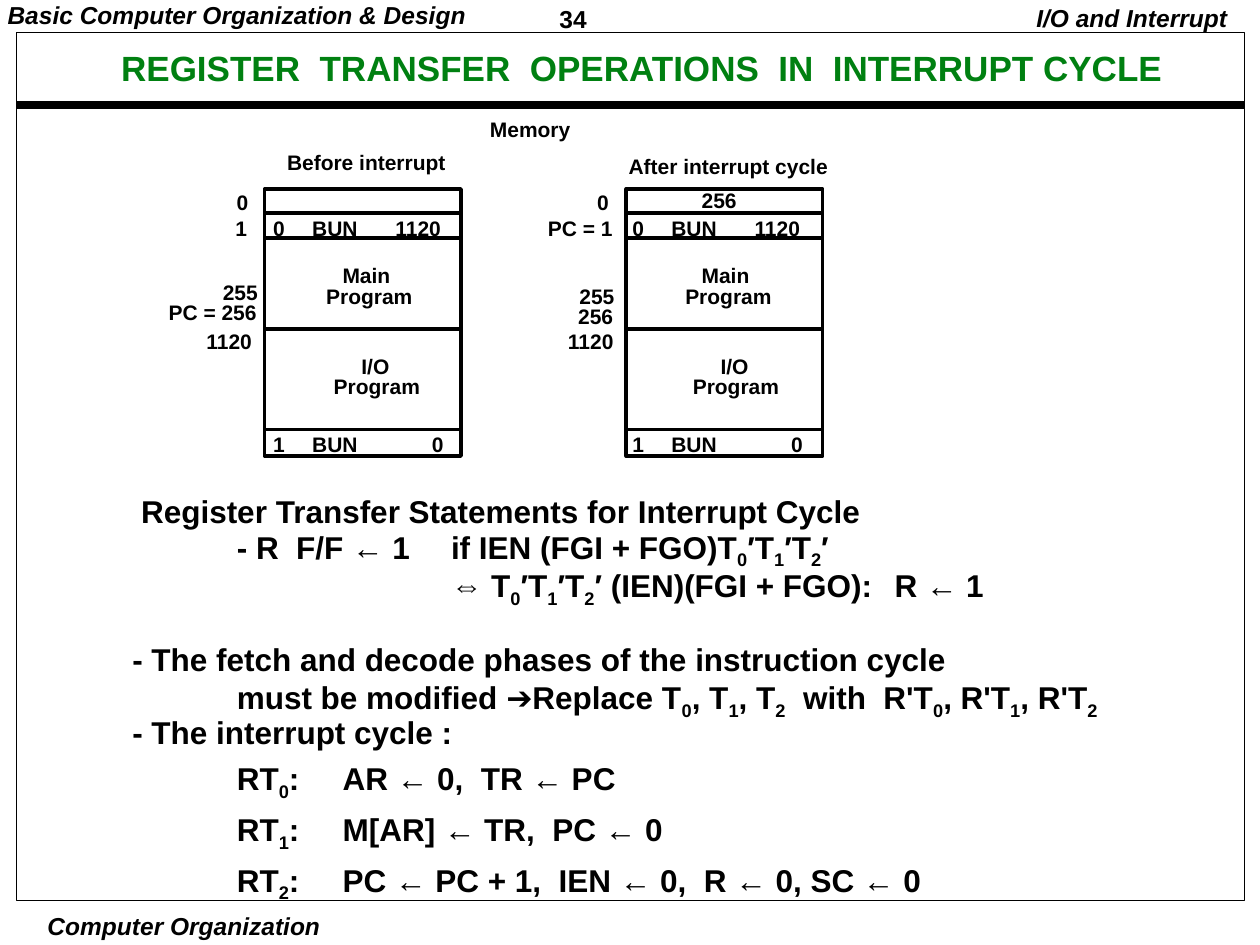
from dataclasses import dataclass

import pptx
import pptx.dml.color
import pptx.enum.shapes
import pptx.enum.text
import pptx.oxml
import pptx.oxml.ns
import pptx.util
from pptx.util import Inches

FONT = "Arial"
BLACK = "000000"
GREEN = "008011"
LEFT = pptx.enum.text.PP_ALIGN.LEFT
CENTER = pptx.enum.text.PP_ALIGN.CENTER
RIGHT = pptx.enum.text.PP_ALIGN.RIGHT

MAP_WIDTH = 1.56
MAP_TOP = 1.5
MAP_HEIGHT = 2.12
ROW_LINES = (1.69, 1.89, 2.61, 3.41)
LABEL_HEIGHT = 0.28
LABEL_SLACK = 0.1  # spare width that keeps every label on one line


@dataclass
class Label:
    text: str
    left: float
    top: float
    width: float


@dataclass
class MemoryMap:
    left: float
    content_left: float
    labels: list[Label]


@dataclass
class Statement:
    text: str
    line_spacing: float = 1.0
    space_before: float = 0
    indent: float = 0


# Lefts are measured from the content edge of each memory map.
CELLS = [
    Label("0", -0.03, 1.68, 0.29),
    Label("BUN", 0.28, 1.68, 0.56),
    Label("1120", 0.94, 1.68, 0.57),
    Label("Main", 0.52, 2.06, 0.58),
    Label("Program", 0.39, 2.22, 0.88),
    Label("I/O", 0.67, 2.78, 0.42),
    Label("Program", 0.45, 2.94, 0.88),
    Label("1", -0.03, 3.4, 0.29),
    Label("BUN", 0.28, 3.4, 0.56),
    Label("0", 1.23, 3.4, 0.29),
]

MEMORY_MAPS = [
    MemoryMap(2.1, 2.1, [
        Label("Before interrupt", 2.18, 1.16, 1.46),
        Label("0", 1.78, 1.48, 0.29),
        Label("1", 1.77, 1.68, 0.29),
        Label("255", 1.67, 2.19, 0.48),
        Label("PC = 256", 1.24, 2.35, 0.9),
        Label("1120", 1.54, 2.58, 0.57),
    ]),
    MemoryMap(4.97, 4.95, [
        Label("After interrupt cycle", 4.89, 1.19, 1.79),
        Label("256", 5.47, 1.46, 0.48),
        Label("0", 4.64, 1.48, 0.29),
        Label("PC = 1", 4.25, 1.68, 0.71),
        Label("255", 4.5, 2.22, 0.48),
        Label("256", 4.49, 2.38, 0.48),
        Label("1120", 4.41, 2.58, 0.57),
    ]),
]

STATEMENT_TABS = (0.83, 1.67, 2.53, 6.05)
# An underscore lowers the character after it to a subscript.
STATEMENTS = [
    Statement("Register Transfer Statements for Interrupt Cycle", 0.85, indent=0.07),
    Statement("\t- R  F/F ← 1\tif IEN (FGI + FGO)T_0′T_1′T_2′", 0.85),
    Statement("\t\t\t⇔ T_0′T_1′T_2′ (IEN)(FGI + FGO):\tR ← 1", 0.96),
    Statement("- The fetch and decode phases of the instruction cycle", 0.9, space_before=21),
    Statement("\tmust be modified ➔Replace T_0, T_1, T_2  with  R'T_0, R'T_1, R'T_2", 0.9),
    Statement("- The interrupt cycle :", 0.9),
    Statement("\tRT_0:\tAR ← 0,  TR ← PC", space_before=4.5),
    Statement("\tRT_1:\tM[AR] ← TR,  PC ← 0", space_before=4.5),
    Statement("\tRT_2:\tPC ← PC + 1,  IEN ← 0,  R ← 0, SC ← 0", space_before=4.5),
]


def color(value: str) -> pptx.dml.color.RGBColor:
    return pptx.dml.color.RGBColor.from_string(value)


def add_run(paragraph, text: str, size: float, fill: str, italic: bool, subscript: bool = False) -> None:
    if not text:
        return
    run = paragraph.add_run()
    run.text = text
    font = run.font
    font.name, font.size = FONT, pptx.util.Pt(size)
    font.bold, font.italic = True, italic
    font.color.rgb = color(fill)
    if subscript:
        run._r.get_or_add_rPr().set("baseline", "-25000")


def write(paragraph, text: str, *, size: float = 12, fill: str = BLACK, italic: bool = False,
          align=LEFT, line_spacing: float = 0.9, space_before: float = 0,
          indent: float = 0, tabs: tuple = ()) -> None:
    """Fill and format one paragraph, lowering each character that follows an underscore."""
    properties = paragraph._p.get_or_add_pPr()
    if tabs:
        tab_list = pptx.oxml.parse_xml(f"<a:tabLst {pptx.oxml.ns.nsdecls('a')}/>")
        for position in tabs:
            tab_list.append(pptx.oxml.parse_xml(
                f"<a:tab {pptx.oxml.ns.nsdecls('a')} pos=\"{Inches(position)}\" algn=\"l\"/>"))
        properties.append(tab_list)
    if indent:
        properties.set("marL", str(Inches(indent)))
    paragraph.alignment = align
    paragraph.line_spacing = line_spacing
    if space_before:
        paragraph.space_before = pptx.util.Pt(space_before)
    first, *lowered = text.split("_")
    add_run(paragraph, first, size, fill, italic)
    for part in lowered:
        add_run(paragraph, part[0], size, fill, italic, subscript=True)
        add_run(paragraph, part[1:], size, fill, italic)


def set_frame(shape, inset_x: float, inset_y: float):
    frame = shape.text_frame
    frame.margin_left = frame.margin_right = Inches(inset_x)
    frame.margin_top = frame.margin_bottom = Inches(inset_y)
    frame.word_wrap = True
    frame.auto_size = pptx.enum.text.MSO_AUTO_SIZE.NONE
    return frame


def add_text_frame(slide, left: float, top: float, width: float, height: float,
                   inset_x: float = 0.1, inset_y: float = 0.05):
    box = slide.shapes.add_textbox(Inches(left), Inches(top), Inches(width), Inches(height))
    return set_frame(box, inset_x, inset_y)


def add_label(slide, label: Label, shift: float = 0) -> None:
    frame = add_text_frame(slide, label.left + shift, label.top,
                           label.width + LABEL_SLACK, LABEL_HEIGHT)
    write(frame.paragraphs[0], label.text)


def add_outline(slide, left: float, top: float, width: float, height: float, weight: float) -> None:
    shape = slide.shapes.add_shape(pptx.enum.shapes.MSO_SHAPE.RECTANGLE,
                                   Inches(left), Inches(top), Inches(width), Inches(height))
    shape.shadow.inherit = False
    shape.fill.background()
    shape.line.color.rgb = color(BLACK)
    shape.line.width = pptx.util.Pt(weight)


def add_rule(slide, left: float, width: float, y: float, weight: float) -> None:
    rule = slide.shapes.add_connector(pptx.enum.shapes.MSO_CONNECTOR.STRAIGHT,
                                      Inches(left), Inches(y), Inches(left + width), Inches(y))
    rule.line.color.rgb = color(BLACK)
    rule.line.width = pptx.util.Pt(weight)
    rule._element.spPr.append(pptx.oxml.parse_xml(f"<a:effectLst {pptx.oxml.ns.nsdecls('a')}/>"))


def add_memory_map(slide, memory: MemoryMap) -> None:
    add_outline(slide, memory.left, MAP_TOP, MAP_WIDTH, MAP_HEIGHT, 2)
    for y in ROW_LINES:
        add_rule(slide, memory.left, MAP_WIDTH, y, 2)
    for cell in CELLS:
        add_label(slide, cell, memory.content_left)
    for label in memory.labels:
        add_label(slide, label)


def add_page_frame(slide) -> None:
    number = add_text_frame(slide, 4.37, 0, 1.08, 0.29, 0.07, 0.03)
    write(number.paragraphs[0], "34", size=14, line_spacing=1.01)
    course = add_text_frame(slide, -0.01, 0, 4, 0.27, 0.07, 0.03)
    write(course.paragraphs[0], "Basic Computer Organization & Design", size=14, italic=True)
    section = add_text_frame(slide, 7.94, 0, 1.9, 0.31)
    write(section.paragraphs[0], "I/O and Interrupt", size=14, italic=True, align=RIGHT)
    footer = add_text_frame(slide, 0.25, 7.22, 2.42, 0.26, 0.03, 0.01)
    write(footer.paragraphs[0], "Computer Organization", size=14, italic=True,
          align=CENTER, line_spacing=1.0)
    add_rule(slide, 0.13, 9.74, 0.83, 4.5)
    add_outline(slide, 0.13, 0.26, 9.75, 6.89, 0.5)


def add_title(slide) -> None:
    title = slide.shapes.title
    title.left, title.top = Inches(0.52), Inches(0.29)
    title.width, title.height = Inches(9.15), Inches(0.54)
    frame = set_frame(title, 0.07, 0.03)
    frame.vertical_anchor = pptx.enum.text.MSO_ANCHOR.MIDDLE
    write(frame.paragraphs[0], "REGISTER  TRANSFER  OPERATIONS  IN  INTERRUPT CYCLE",
          size=20, fill=GREEN, align=CENTER)


def add_statements(slide) -> None:
    frame = add_text_frame(slide, 0.98, 3.92, 8, 3.27, 0.07, 0.03)
    for index, statement in enumerate(STATEMENTS):
        paragraph = frame.add_paragraph() if index else frame.paragraphs[0]
        write(paragraph, statement.text, size=18, line_spacing=statement.line_spacing,
              space_before=statement.space_before, indent=statement.indent, tabs=STATEMENT_TABS)


def main() -> None:
    presentation = pptx.Presentation()
    presentation.slide_width, presentation.slide_height = Inches(10), Inches(7.5)
    slide = presentation.slides.add_slide(presentation.slide_layouts[5])
    add_page_frame(slide)
    add_title(slide)
    add_statements(slide)
    add_label(slide, Label("Memory", 3.79, 0.9, 0.84))
    for memory in MEMORY_MAPS:
        add_memory_map(slide, memory)
    presentation.save("out.pptx")


if __name__ == "__main__":
    main()
